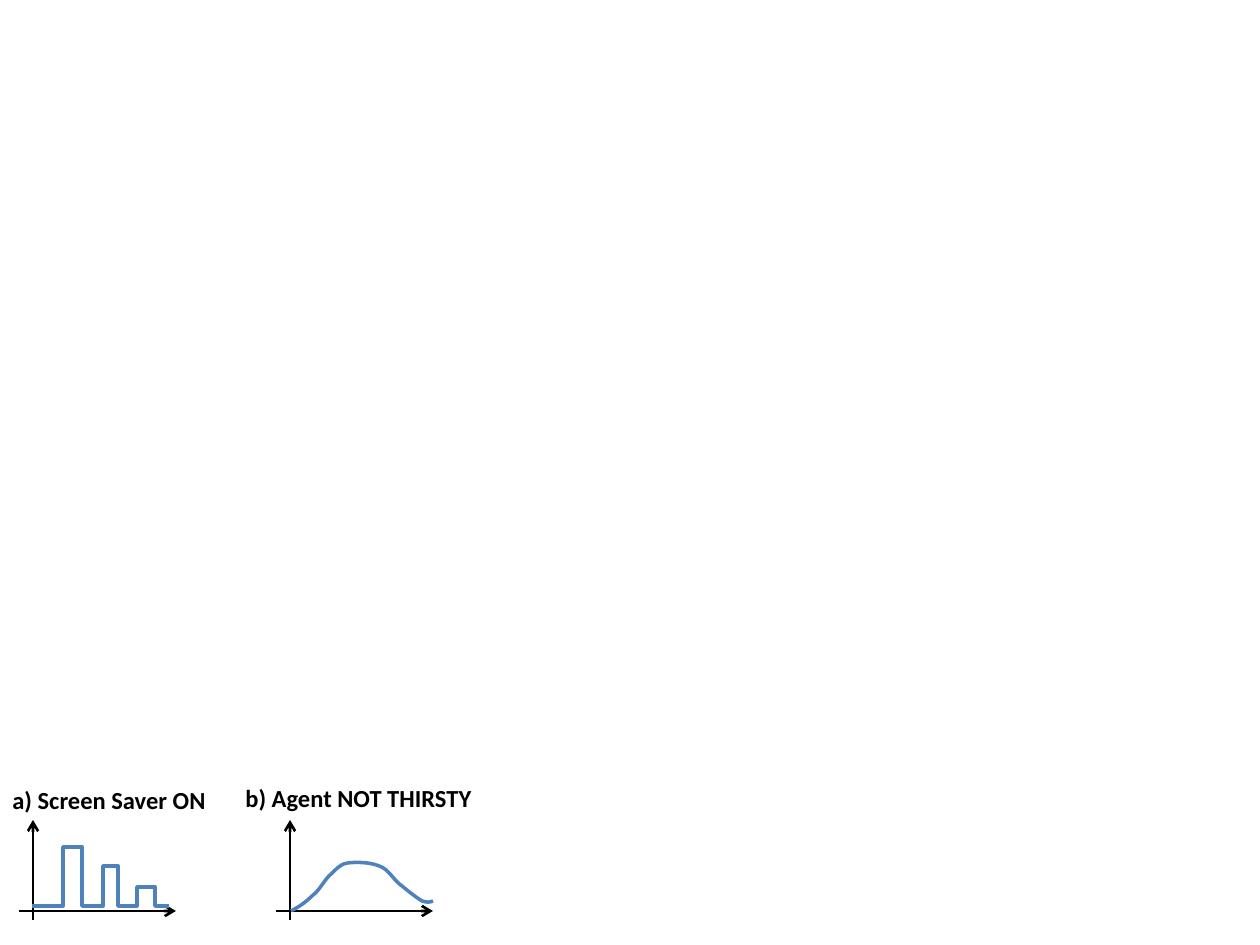
from dataclasses import dataclass

from lxml import etree
from pptx import Presentation
from pptx.dml.color import RGBColor
from pptx.enum import shapes, text
from pptx.oxml import ns
from pptx import util as u

PX = 914400 / 126
Point = tuple[int, int]


@dataclass(frozen=True)
class Theme:
    ink: RGBColor = RGBColor(0, 0, 0)
    curve: RGBColor = RGBColor(0x4F, 0x81, 0xBD)
    font: str = "Calibri"
    size: int = 14
    axis: float = 1.5
    stroke: float = 2


@dataclass(frozen=True)
class Graph:
    title: str
    left: int
    top: int
    width: int
    zero: int
    points: list[Point]
    smooth: bool = False


THEME = Theme()
BASE = 911
TITLE_H = 43


def px(n: int) -> int:
    return round(n * PX)


def add_text(slide, label: str, *, left: int, top: int, width: int,
             height: int, bold: bool = False) -> None:
    box = slide.shapes.add_textbox(px(left), px(top), px(width), px(height))
    frame = box.text_frame
    frame.word_wrap = True
    frame.auto_size = text.MSO_AUTO_SIZE.SHAPE_TO_FIT_TEXT
    run = frame.paragraphs[0].add_run()
    run.text = label
    run.font.name = THEME.font
    run.font.size = u.Pt(THEME.size)
    run.font.bold = bold
    run.font.color.rgb = THEME.ink


def add_axis(slide, start: Point, end: Point) -> None:
    axis = slide.shapes.add_connector(
        shapes.MSO_CONNECTOR.STRAIGHT, *map(px, start + end))
    axis.line.color.rgb = THEME.ink
    axis.line.width = u.Pt(THEME.axis)
    etree.SubElement(axis.line._get_or_add_ln(), ns.qn("a:tailEnd"), type="arrow")
    etree.SubElement(axis._element.spPr, ns.qn("a:effectLst"))


def bend(shape) -> None:
    lines = shape._element.xpath(".//a:lnTo")
    for first in range(0, len(lines), 3):
        trio = lines[first:first + 3]
        curve = etree.Element(ns.qn("a:cubicBezTo"))
        trio[0].addprevious(curve)
        for line in trio:
            curve.append(line[0])
            line.getparent().remove(line)


def add_curve(slide, points: list[Point], smooth: bool) -> None:
    pen = slide.shapes.build_freeform(*points[0], scale=PX)
    pen.add_line_segments(points[1:], close=False)
    shape = pen.convert_to_shape()
    shape.shadow.inherit = False
    shape.fill.background()
    shape.line.color.rgb = THEME.curve
    shape.line.width = u.Pt(THEME.stroke)
    if smooth:
        bend(shape)


def add_graph(slide, graph: Graph) -> None:
    add_text(slide, graph.title, left=graph.left, top=graph.top,
             width=graph.width, height=TITLE_H, bold=True)
    add_axis(slide, (graph.zero, BASE + 9), (graph.zero, BASE - 91))
    add_axis(slide, (graph.zero - 14, BASE), (graph.zero + 143, BASE))
    add_curve(slide, graph.points, graph.smooth)


def pulse(start: int, end: int, low: int,
          bars: list[tuple[int, int, int]]) -> list[Point]:
    points = [(start, low)]
    for left, right, high in bars:
        points += [(left, low), (left, high), (right, high), (right, low)]
    return points + [(end, low)]


GRAPHS = [
    Graph("a) Screen Saver ON", 0, 779, 232, 33,
          pulse(32, 169, 906, [(63, 82, 847), (103, 118, 866), (137, 155, 887)])),
    Graph("b) Agent NOT THIRSTY", 233, 777, 258, 290, [
        (291, 911),
        (299, 907), (306, 902), (312, 896),
        (319, 891), (324, 881), (329, 876),
        (335, 871), (339, 864), (348, 863),
        (355, 862), (370, 862), (379, 866),
        (389, 869), (394, 881), (402, 886),
        (409, 892), (417, 898), (422, 901),
        (427, 903), (431, 902), (433, 901),
    ], smooth=True),
]


def main() -> None:
    deck = Presentation()
    deck.slide_width, deck.slide_height = px(1260), px(945)
    slide = deck.slides.add_slide(deck.slide_layouts[6])
    for graph in GRAPHS:
        add_graph(slide, graph)
    deck.save("out.pptx")


if __name__ == "__main__":
    main()
